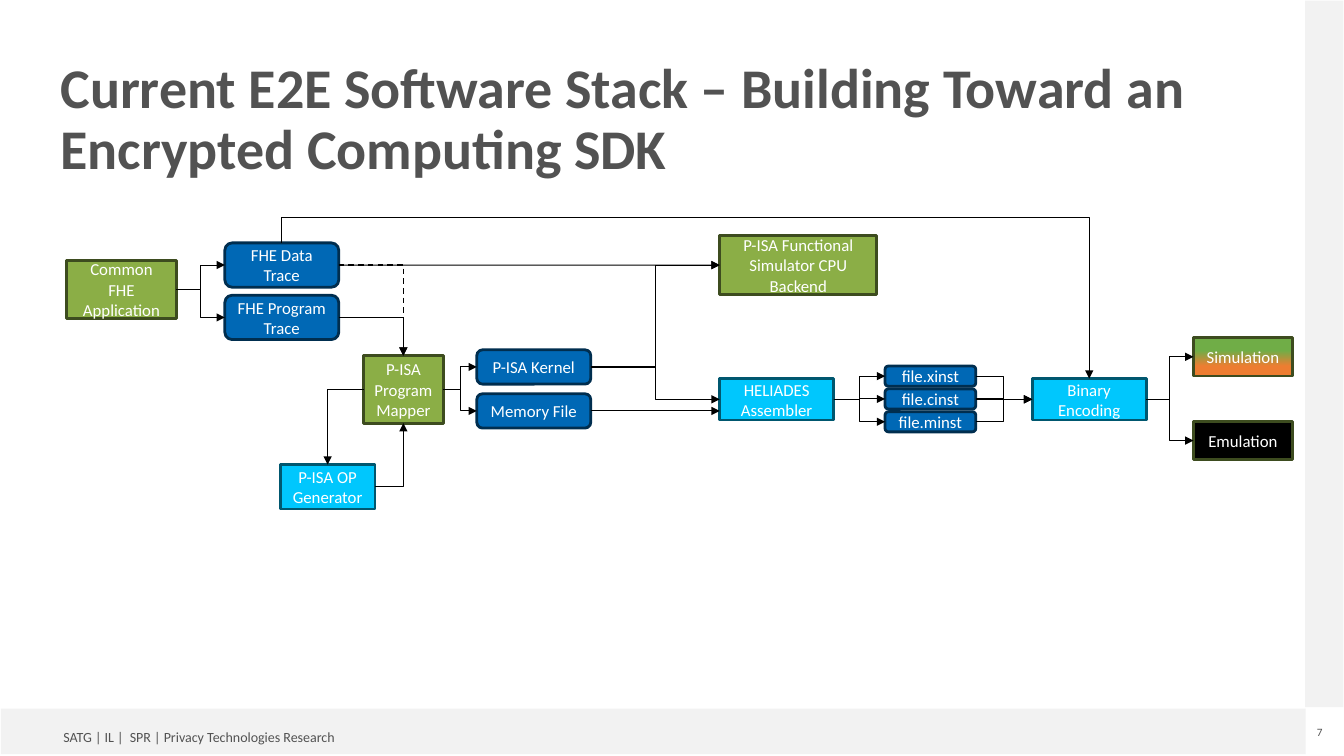
from lxml.etree import SubElement
from pptx import Presentation
from pptx.dml.color import RGBColor
from pptx.enum.dml import MSO_LINE
from pptx.enum.shapes import MSO_CONNECTOR, MSO_SHAPE
from pptx.enum.text import MSO_ANCHOR, MSO_AUTO_SIZE, PP_ALIGN
from pptx.oxml.ns import qn
from pptx.util import Pt

FONT = "Calibri"
GRAY, PALE, WHITE, BLACK = "525252", "F2F2F2", "FFFFFF", "000000"
# Fill and outline of each kind of step
TOOL = ("8BAE46", "3D4C1F")
DATA = ("0068B5", "002E4F")
COMPILER = ("00C7FD", "00576F")
TARGET = (BLACK, "3D4C1F")
TOP, LEFT, BOTTOM, RIGHT = range(4)


def color(hex_code):
    return RGBColor.from_string(hex_code)


def style_text(paragraph, size, hex_code, align=None, bold=False):
    paragraph.alignment = align
    font = paragraph.font
    font.name, font.size, font.bold = FONT, Pt(size), bold
    font.color.rgb = color(hex_code)


def add_bar(slide, left, top, width, height):
    bar = slide.shapes.add_shape(MSO_SHAPE.RECTANGLE, Pt(left), Pt(top), Pt(width), Pt(height))
    bar.shadow.inherit = False
    bar.fill.solid()
    bar.fill.fore_color.rgb = color(PALE)
    bar.line.fill.background()


def add_label(slide, left, top, width, height, text, size, align, inset):
    label = slide.shapes.add_textbox(Pt(left), Pt(top), Pt(width), Pt(height))
    frame = label.text_frame
    frame.margin_left = frame.margin_right = Pt(2 * inset)
    frame.margin_top = frame.margin_bottom = Pt(inset)
    frame.text = text
    style_text(frame.paragraphs[0], size, GRAY, align)


def add_step(slide, left, top, width, height, text, palette):
    """Add one box of the flow; data steps get rounded corners."""
    outline = MSO_SHAPE.ROUNDED_RECTANGLE if palette is DATA else MSO_SHAPE.RECTANGLE
    step = slide.shapes.add_shape(outline, Pt(left), Pt(top), Pt(width), Pt(height))
    step.shadow.inherit = False
    fill, border = palette
    step.fill.solid()
    step.fill.fore_color.rgb = color(fill)
    step.line.color.rgb = color(border)
    step.line.width = Pt(2)
    frame = step.text_frame
    frame.word_wrap = True
    frame.vertical_anchor = MSO_ANCHOR.MIDDLE
    frame.text = text
    style_text(frame.paragraphs[0], 12, WHITE, PP_ALIGN.CENTER)
    return step


def add_stack(slide, left, top, width, height, pitch, texts, palette):
    return [add_step(slide, left, top + row * pitch, width, height, text, palette)
            for row, text in enumerate(texts)]


def add_arrow(slide, kind, begin=(0, 0), end=(0, 0), weight=0.75):
    arrow = slide.shapes.add_connector(kind, *begin, *end)
    arrow.line.color.rgb = color(BLACK)
    arrow.line.width = Pt(weight)
    SubElement(arrow.line._get_or_add_ln(), qn("a:tailEnd"), type="triangle")
    SubElement(arrow._element.spPr, qn("a:effectLst"))
    return arrow


def join(slide, source, target, sides=(RIGHT, LEFT), kind=MSO_CONNECTOR.ELBOW, weight=0.75):
    """Join two steps; an elbow between crossing directions bends only once."""
    arrow = add_arrow(slide, kind, weight=weight)
    arrow.begin_connect(source, sides[0])
    arrow.end_connect(target, sides[1])
    if kind == MSO_CONNECTOR.ELBOW and sum(sides) % 2:
        arrow._element.spPr.find(qn("a:prstGeom")).set("prst", "bentConnector2")
    return arrow


def join_over(slide, source, target, rise):
    """Lead from the top of one step, over the flow, down to the top of another."""
    x1, y1 = source.left + source.width // 2, source.top
    x2, y2 = target.left + target.width // 2, target.top
    mid_x, mid_y = (x1 + x2) // 2, (y1 + y2) // 2
    half_run, half_drop = (x2 - x1) // 2, (y2 - y1) // 2
    arrow = add_arrow(slide, MSO_CONNECTOR.ELBOW,
                      (mid_x + half_drop, mid_y - half_run),
                      (mid_x - half_drop, mid_y + half_run))
    properties = arrow._element.spPr
    properties.find(qn("a:xfrm")).set("rot", "16200000")
    guides = properties.find(qn("a:prstGeom")).get_or_add_avLst()
    bend = round(-100000 * Pt(rise) / (y2 - y1))
    SubElement(guides, qn("a:gd"), name="adj1", fmla=f"val {bend}")


def add_frame(slide, width, height):
    add_bar(slide, 0.7, height - 33.8, width - 28.1, 32.4)
    add_bar(slide, width - 27.8, 0.4, 27.4, 504.7)
    add_label(slide, 38.2, height - 23, 234, 19.4,
              "SATG | IL |  SPR | Privacy Technologies Research", 10, PP_ALIGN.LEFT, 3.6)
    add_label(slide, width - 22.4, height - 21.6, 10, 9.4, "7", 8, PP_ALIGN.CENTER, 0)


def add_title(slide, left, top, width, height):
    title = slide.shapes.title
    title.left, title.top, title.width, title.height = Pt(left), Pt(top), Pt(width), Pt(height)
    frame = title.text_frame
    frame.text = "Current E2E Software Stack – Building Toward an Encrypted Computing SDK"
    frame.word_wrap = True
    frame.auto_size = MSO_AUTO_SIZE.NONE
    frame.vertical_anchor = MSO_ANCHOR.TOP
    frame.margin_left = frame.margin_right = frame.margin_top = frame.margin_bottom = 0
    style_text(frame.paragraphs[0], 40, GRAY, PP_ALIGN.LEFT, bold=True)
    frame.paragraphs[0].line_spacing = 0.9


def add_tracing(slide, left, top):
    application = add_step(slide, left, top + 12.3, 78.5, 41.8, "Common FHE Application", TOOL)
    traces = add_stack(slide, left + 113.1, top, 81.4, 31.7, 37.4,
                       ["FHE Data Trace", "FHE Program Trace"], DATA)
    for trace in traces:
        join(slide, application, trace)
    return traces


def add_mapping(slide, left, top):
    mapper = add_step(slide, left + 59.5, top + 4.2, 56.9, 48.2, "P-ISA Program Mapper", TOOL)
    generator = add_step(slide, left, top + 82, 67.7, 31.7, "P-ISA OP Generator", COMPILER)
    outputs = add_stack(slide, left + 140.4, top, 81.4, 24.5, 31.4,
                        ["P-ISA Kernel", "Memory File"], DATA)
    join(slide, mapper, generator, (LEFT, TOP))
    join(slide, generator, mapper, (RIGHT, BOTTOM))
    for output in outputs:
        join(slide, mapper, output)
    return mapper, outputs


def add_assembly(slide, left, top):
    assembler = add_step(slide, left, top + 9, 81.4, 29.5, "HELIADES Assembler", COMPILER)
    files = add_stack(slide, left + 118.1, top, 64.8, 14.4, 16.3,
                      ["file.xinst", "file.cinst", "file.minst"], DATA)
    encoding = add_step(slide, left + 223.2, top + 9, 81.4, 29.5, "Binary Encoding", COMPILER)
    for file in files:
        join(slide, assembler, file)
        join(slide, file, encoding)
    return assembler, encoding


def add_targets(slide, left, top, encoding):
    simulation, emulation = add_stack(slide, left, top, 70.6, 27.4, 59.8,
                                      ["Simulation", "Emulation"], TARGET)
    simulation.fill.gradient()
    simulation.fill.gradient_angle = 270
    for stop, (position, shade) in zip(simulation.fill.gradient_stops,
                                       [(0.34, "70AD47"), (0.74, "ED7D31")]):
        stop.position = position
        stop.color.rgb = color(shade)
    for target in (simulation, emulation):
        join(slide, encoding, target)


def add_flow(slide, left, top):
    data_trace, program_trace = add_tracing(slide, left, top + 18)
    mapper, (kernel, memory) = add_mapping(slide, left + 152.7, top + 94.4)
    simulator = add_step(slide, left + 466.6, top + 13, 112.3, 41.8,
                         "P-ISA Functional Simulator CPU Backend", TOOL)
    assembler, encoding = add_assembly(slide, left + 466.6, top + 106)
    add_targets(slide, left + 805, top + 85.7, encoding)

    join(slide, program_trace, mapper, (RIGHT, TOP))
    join(slide, data_trace, mapper, (RIGHT, TOP), weight=1).line.dash_style = MSO_LINE.DASH
    join(slide, data_trace, simulator, kind=MSO_CONNECTOR.STRAIGHT)
    for consumer in (simulator, assembler):
        join(slide, kernel, consumer)
    memory_y = memory.top + memory.height // 2
    memory_arrow = add_arrow(slide, MSO_CONNECTOR.STRAIGHT,
                             (memory.left + memory.width, memory_y), (assembler.left, memory_y))
    memory_arrow.begin_connect(memory, RIGHT)
    join_over(slide, data_trace, encoding, 18)


def main():
    presentation = Presentation()
    presentation.slide_width, presentation.slide_height = Pt(960), Pt(540)
    slide = presentation.slides.add_slide(presentation.slide_layouts[5])
    add_frame(slide, 960, 540)
    add_title(slide, 43.2, 43.2, 864, 72)
    add_flow(slide, 47.5, 155.5)
    presentation.save("out.pptx")


if __name__ == "__main__":
    main()
